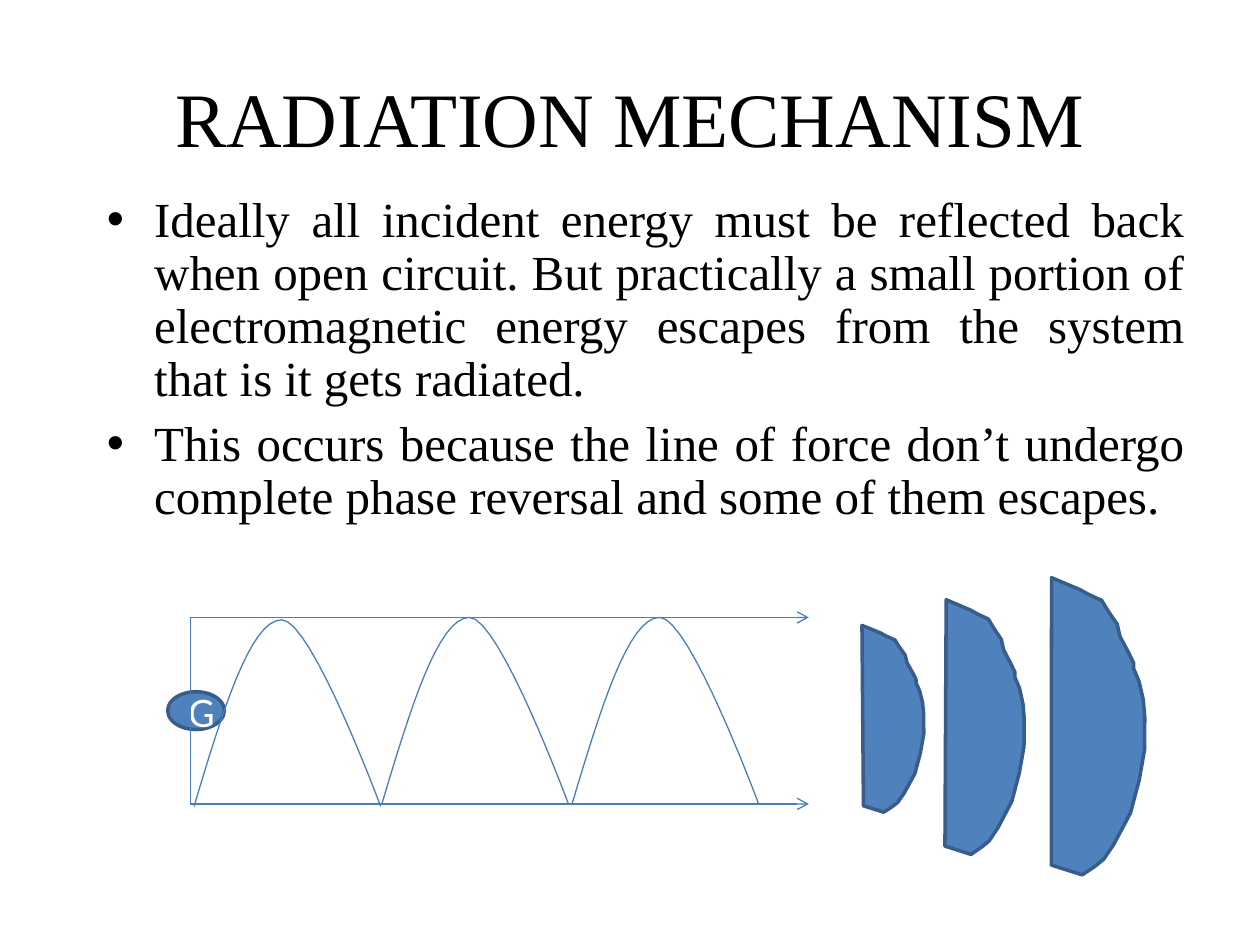
from lxml import etree
from pptx import Presentation
from pptx.dml.color import RGBColor
from pptx.enum import shapes, text
from pptx.oxml import ns
from pptx.util import Pt

# Content
TITLE = "RADIATION MECHANISM"
POINTS = [
    "Ideally all incident energy must be reflected back when open circuit. "
    "But practically a small portion of electromagnetic energy escapes from "
    "the system that is it gets radiated.",
    "This occurs because the line of force don’t undergo complete phase "
    "reversal and some of them escapes.",
]
GENERATOR = "G"
SERIF, SANS = "Times New Roman", "Calibri"
BLACK, WHITE = "000000", "FFFFFF"
BLUE, EDGE, WIRE = "4F81BD", "385D8A", "4A7EBB"

# Transmission line: two rails joined at the generator end
RAIL_LEFT, RAIL_RIGHT, RAIL_TOP, RAIL_BOTTOM = 108.7, 462.2, 352.8, 459.4
ARCH_SIZE = 106.6
ARCHES = [(110.9, 354.2), (218.2, 352.8), (326.9, 352.8)]  # left, top
# Cubic curves of one arch, as fractions of its box
ARCH_CURVES = [
    [(0, 1), (0.15, 0.5), (0.3, 0), (0.47, 0)],
    [(0.47, 0), (0.63, 0), (1, 1), (1, 1)],
]
# Radiated lobes: left, top, width, height
LOBES = [(481, 361.4, 50.4, 101.5), (524.9, 347.8, 64.8, 139),
         (582.5, 336.2, 77, 162)]
LOBE_TILT = 12.5
# Outline of one lobe, as fractions of its box
LOBE_OUTLINE = [
    (0, 0), (0.23, 0.02), (0.3, 0.03), (0.4, 0.04), (0.46, 0.07),
    (0.55, 0.11), (0.59, 0.15), (0.68, 0.2), (0.73, 0.23), (0.74, 0.25),
    (0.8, 0.29), (0.86, 0.35), (0.88, 0.38), (0.9, 0.41), (0.95, 0.52),
    (0.96, 0.63), (0.95, 0.75), (0.88, 0.87), (0.83, 0.93), (0.78, 0.96),
    (0.7, 1), (0.46, 0.99),
]

prs = Presentation()
prs.slide_width, prs.slide_height = Pt(720), Pt(540)
slide = prs.slides.add_slide(prs.slide_layouts[6])


def color(value):
    return RGBColor.from_string(value)


def style_runs(paragraph, size, font, ink):
    for run in paragraph.runs:
        run.font.size, run.font.name = Pt(size), font
        run.font.color.rgb = color(ink)


def add_text(left, top, width, height, lines, size, align):
    frame = slide.shapes.add_textbox(
        Pt(left), Pt(top), Pt(width), Pt(height)).text_frame
    frame.word_wrap = True
    frame.text = "\n".join(lines)
    for paragraph in frame.paragraphs:
        paragraph.alignment = align
        style_runs(paragraph, size, SERIF, BLACK)
    return frame


def add_bullet(paragraph, indent):
    props = paragraph._p.get_or_add_pPr()
    props.set("marL", str(Pt(indent)))
    props.set("indent", str(-Pt(indent)))
    etree.SubElement(props, ns.qn("a:buFont")).set("typeface", "Arial")
    etree.SubElement(props, ns.qn("a:buChar")).set("char", "•")


def add_wire(x1, y1, x2, y2, arrow=False):
    wire = slide.shapes.add_connector(
        shapes.MSO_CONNECTOR.STRAIGHT, Pt(x1), Pt(y1), Pt(x2), Pt(y2))
    wire.line.color.rgb, wire.line.width = color(WIRE), Pt(0.75)
    if arrow:
        line = wire.line._get_or_add_ln()
        etree.SubElement(line, ns.qn("a:tailEnd")).set("type", "arrow")
    etree.SubElement(wire._element.spPr, ns.qn("a:effectLst"))


def style_solid(shape):
    shape.shadow.inherit = False
    shape.fill.solid()
    shape.fill.fore_color.rgb = color(BLUE)
    shape.line.color.rgb, shape.line.width = color(EDGE), Pt(2)


def add_outline(left, top, width, height, fractions, close):
    spots = [(Pt(left + x * width), Pt(top + y * height)) for x, y in fractions]
    builder = slide.shapes.build_freeform(*spots[0])
    builder.add_line_segments(spots[1:], close=close)
    return builder.convert_to_shape()


def sample_curve(controls, steps=16):
    for t in (step / steps for step in range(steps + 1)):
        weights = ((1 - t) ** 3, 3 * t * (1 - t) ** 2, 3 * t * t * (1 - t), t ** 3)
        yield tuple(sum(w * c[axis] for w, c in zip(weights, controls))
                    for axis in (0, 1))


# Title and bullets
title = add_text(36, 21.6, 648, 90, [TITLE], 44, text.PP_ALIGN.CENTER)
title.vertical_anchor = text.MSO_ANCHOR.MIDDLE
body = add_text(54, 108, 630, 408, POINTS, 28, text.PP_ALIGN.JUSTIFY)
for point in body.paragraphs:
    point.line_spacing, point.space_before = 0.9, Pt(7)
    add_bullet(point, 27)

# Rails and generator
for rail_y in (RAIL_TOP, RAIL_BOTTOM):
    add_wire(RAIL_LEFT, rail_y, RAIL_RIGHT, rail_y, arrow=True)
generator = slide.shapes.add_shape(
    shapes.MSO_SHAPE.OVAL, Pt(95.8), Pt(395.3), Pt(32.4), Pt(21.6))
style_solid(generator)
generator.text_frame.text = GENERATOR
generator.text_frame.vertical_anchor = text.MSO_ANCHOR.MIDDLE
generator_label = generator.text_frame.paragraphs[0]
generator_label.alignment = text.PP_ALIGN.CENTER
style_runs(generator_label, 24, SANS, WHITE)
add_wire(RAIL_LEFT, RAIL_TOP, RAIL_LEFT, RAIL_BOTTOM)

# Radiated lobes
for box in LOBES:
    lobe = add_outline(*box, LOBE_OUTLINE, close=True)
    style_solid(lobe)
    lobe.rotation = LOBE_TILT

# Standing wave between the rails
arch_path = [spot for curve in ARCH_CURVES for spot in sample_curve(curve)]
for left, top in ARCHES:
    arch = add_outline(left, top, ARCH_SIZE, ARCH_SIZE, arch_path, close=False)
    arch.shadow.inherit = False
    arch.fill.background()
    arch.line.color.rgb, arch.line.width = color(WIRE), Pt(0.75)

prs.save("out.pptx")
